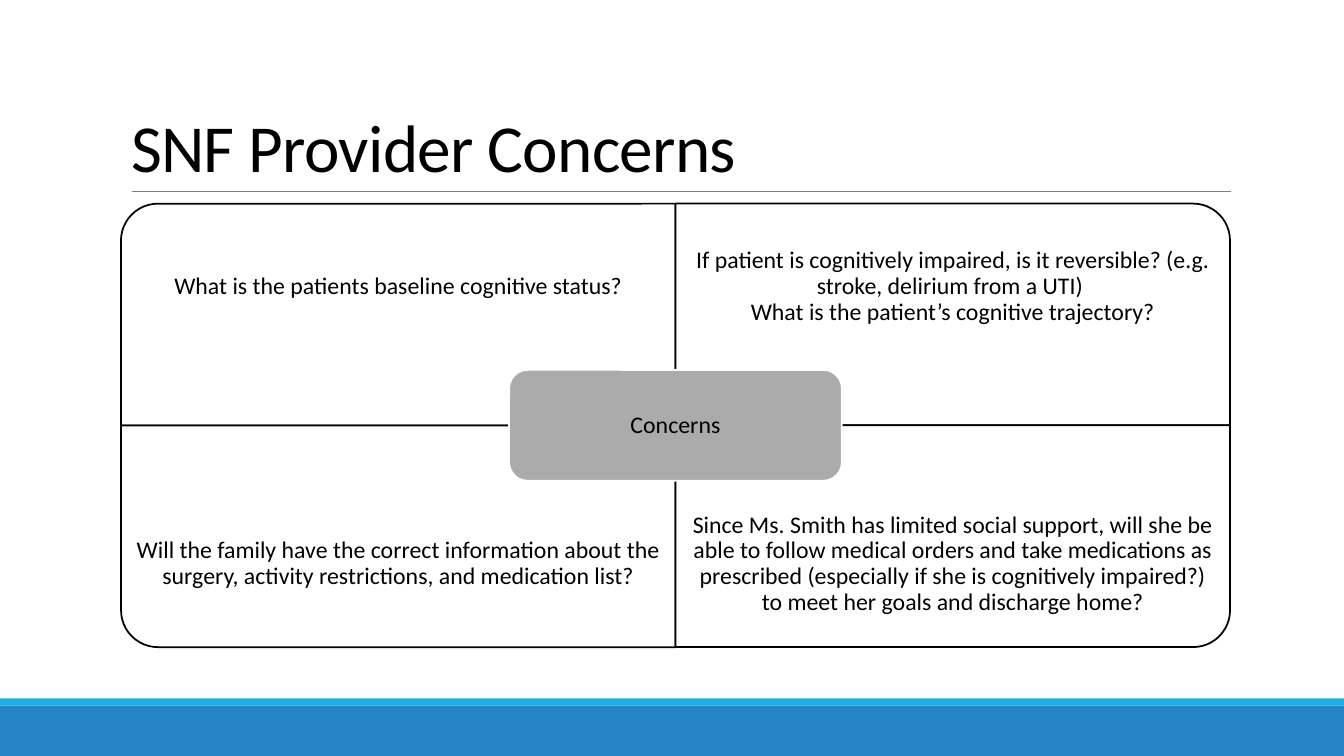
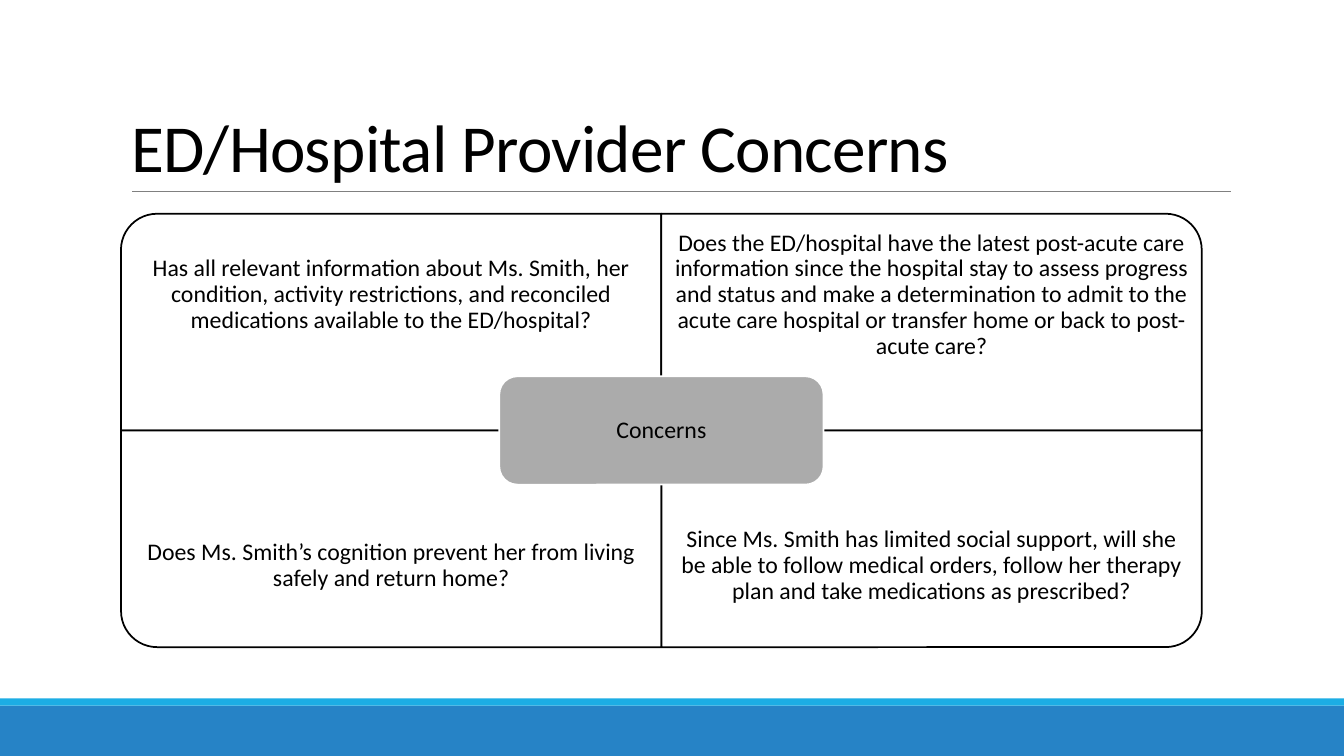
"""Build two slides of provider concerns, each a four-part matrix."""
from lxml import etree
from pptx import Presentation
from pptx import util as u
from pptx.dml.color import RGBColor
from pptx.enum import shapes, text
from pptx.oxml.ns import qn

WHITE = RGBColor(0xFF, 0xFF, 0xFF)
BLACK = RGBColor(0x00, 0x00, 0x00)
RULE_GRAY = RGBColor(0x80, 0x80, 0x80)
HUB_GRAY = RGBColor(0xAB, 0xAB, 0xAB)
BAND_BLUE = RGBColor(0x26, 0x83, 0xC6)
BAND_CYAN = RGBColor(0x1C, 0xAD, 0xE4)

WIDTH, HEIGHT = 13.33, 7.5
MARGIN = 1.2
TITLE_BOTTOM = 1.9
BAND_TOP, BAND_EDGE = 7, 0.07
TEXT_SHARE = 0.75
HUB_WIDTH_SHARE, HUB_HEIGHT_SHARE = 0.6, 0.5
CORNER_TURNS = ((270, 0), (180, 90))

MATRICES = (
    {
        "title": "SNF Provider Concerns",
        "top": 2.02, "column": 5.5, "row": 2.2,
        "concerns": (
            ("What is the patients baseline cognitive status?",
             "If patient is cognitively impaired, is it reversible? (e.g. stroke, "
             "delirium from a UTI) \nWhat is the patient’s cognitive trajectory?"),
            ("Will the family have the correct information about the surgery, "
             "activity restrictions, and medication list?",
             "Since Ms. Smith has limited social support, will she be able to follow "
             "medical orders and take medications as prescribed (especially if she "
             "is cognitively impaired?) to meet her goals and discharge home?"),
        ),
    },
    {
        "title": "ED/Hospital Provider Concerns",
        "top": 2.12, "column": 5.36, "row": 2.15,
        "concerns": (
            ("Has all relevant information about Ms. Smith, her condition, activity "
             "restrictions, and reconciled medications available to the ED/hospital?",
             "Does the ED/hospital have the latest post-acute care information since "
             "the hospital stay to assess progress and status and make a "
             "determination to admit to the acute care hospital or transfer home or "
             "back to post-acute care?"),
            ("Does Ms. Smith’s cognition prevent her from living safely and return "
             "home?",
             "Since Ms. Smith has limited social support, will she be able to follow "
             "medical orders, follow her therapy plan and take medications as "
             "prescribed?"),
        ),
    },
)


def inches(*lengths):
    """Convert lengths to slide units."""
    return [u.Inches(length) for length in lengths]


def write(box, words, size=17, align=text.PP_ALIGN.CENTER, spacing=0.9,
          anchor=text.MSO_ANCHOR.MIDDLE, inset=None, tracking=None):
    """Fill a shape with one formatted paragraph."""
    frame = box.text_frame
    frame.word_wrap = True
    frame.auto_size = text.MSO_AUTO_SIZE.NONE
    frame.vertical_anchor = anchor
    if inset is not None:
        frame.margin_left = frame.margin_right = u.Inches(inset)
        frame.margin_top = frame.margin_bottom = u.Inches(inset)
    para = frame.paragraphs[0]
    para.text = words
    para.alignment = align
    para.line_spacing = spacing
    for span in para.runs:
        span.font.name = "Calibri"
        span.font.size = u.Pt(size)
        span.font.color.rgb = BLACK
        if tracking is not None:
            span.font._element.set("spc", str(int(tracking * 100)))


def add_panel(parent, kind, place, fill, line=None, turn=0):
    """Add a flat filled shape, outlined when a line colour is given."""
    panel = parent.shapes.add_shape(kind, *inches(*place))
    panel.shadow.inherit = False
    panel.rotation = turn
    panel.fill.solid()
    panel.fill.fore_color.rgb = fill
    if line is None:
        panel.line.fill.background()
    else:
        panel.line.color.rgb = line
        panel.line.width = u.Pt(1.25)
    return panel


def add_rule(page):
    """Add the thin line under the title."""
    left, right = MARGIN + 0.11, MARGIN + 11.01
    rule = page.shapes.add_connector(
        shapes.MSO_CONNECTOR.STRAIGHT,
        *inches(left, TITLE_BOTTOM, right, TITLE_BOTTOM))
    rule.line.color.rgb = RULE_GRAY
    rule.line.width = u.Pt(0.5)
    etree.SubElement(rule.element.spPr, qn("a:effectLst"))
    return rule


def dress_layout(layout, page):
    """Give the layout its title place, bands and rule, drawn by way of a page."""
    for holder in list(layout.placeholders):
        if holder.placeholder_format.type == shapes.PP_PLACEHOLDER.TITLE:
            holder.left, holder.top, holder.width, holder.height = inches(
                MARGIN, 0.31, 11, TITLE_BOTTOM - 0.31)
        else:
            layout.shapes.element.remove(holder.element)
    rectangle = shapes.MSO_SHAPE.RECTANGLE
    band = (0, BAND_TOP, WIDTH, HEIGHT - BAND_TOP)
    edge = (0, BAND_TOP - BAND_EDGE, WIDTH, BAND_EDGE)
    for part in (add_panel(page, rectangle, band, BAND_BLUE),
                 add_panel(page, rectangle, edge, BAND_CYAN),
                 add_rule(page)):
        layout.shapes.element.append(part.element)


def add_quadrant(group, left, top, width, height, turn):
    """Add a cell whose one round corner is turned to the outside."""
    wide, tall = (height, width) if turn % 180 else (width, height)
    place = (left + (width - wide) / 2, top + (height - tall) / 2, wide, tall)
    add_panel(group, shapes.MSO_SHAPE.ROUND_1_RECTANGLE, place, WHITE, BLACK, turn)


def add_matrix(page, top, column, row, concerns):
    """Add four concerns around a central hub."""
    group = page.shapes.add_group_shape()
    for r, pair in enumerate(concerns):
        for c, words in enumerate(pair):
            left, cell_top = MARGIN + c * column, top + r * row
            add_quadrant(group, left, cell_top, column, row, CORNER_TURNS[r][c])
            text_top = cell_top + r * (1 - TEXT_SHARE) * row
            box = group.shapes.add_textbox(
                *inches(left, text_top, column, TEXT_SHARE * row))
            write(box, words, inset=0.13)
    wide, tall = HUB_WIDTH_SHARE * column, HUB_HEIGHT_SHARE * row
    place = (MARGIN + column - wide / 2, top + row - tall / 2, wide, tall)
    hub = add_panel(group, shapes.MSO_SHAPE.ROUNDED_RECTANGLE, place, HUB_GRAY, WHITE)
    write(hub, "Concerns", inset=0.07)


def main():
    """Build and save the deck."""
    deck = Presentation()
    deck.slide_width, deck.slide_height = inches(WIDTH, HEIGHT)
    layout = deck.slide_layouts.get_by_name("Title Only")
    pages = [deck.slides.add_slide(layout) for _ in MATRICES]
    dress_layout(layout, pages[0])
    for page, matrix in zip(pages, MATRICES):
        write(page.shapes.title, matrix["title"], size=48, spacing=0.85,
              align=text.PP_ALIGN.LEFT, anchor=text.MSO_ANCHOR.BOTTOM, tracking=-0.5)
        add_matrix(page, matrix["top"], matrix["column"], matrix["row"],
                   matrix["concerns"])
    deck.save("out.pptx")


if __name__ == "__main__":
    main()
